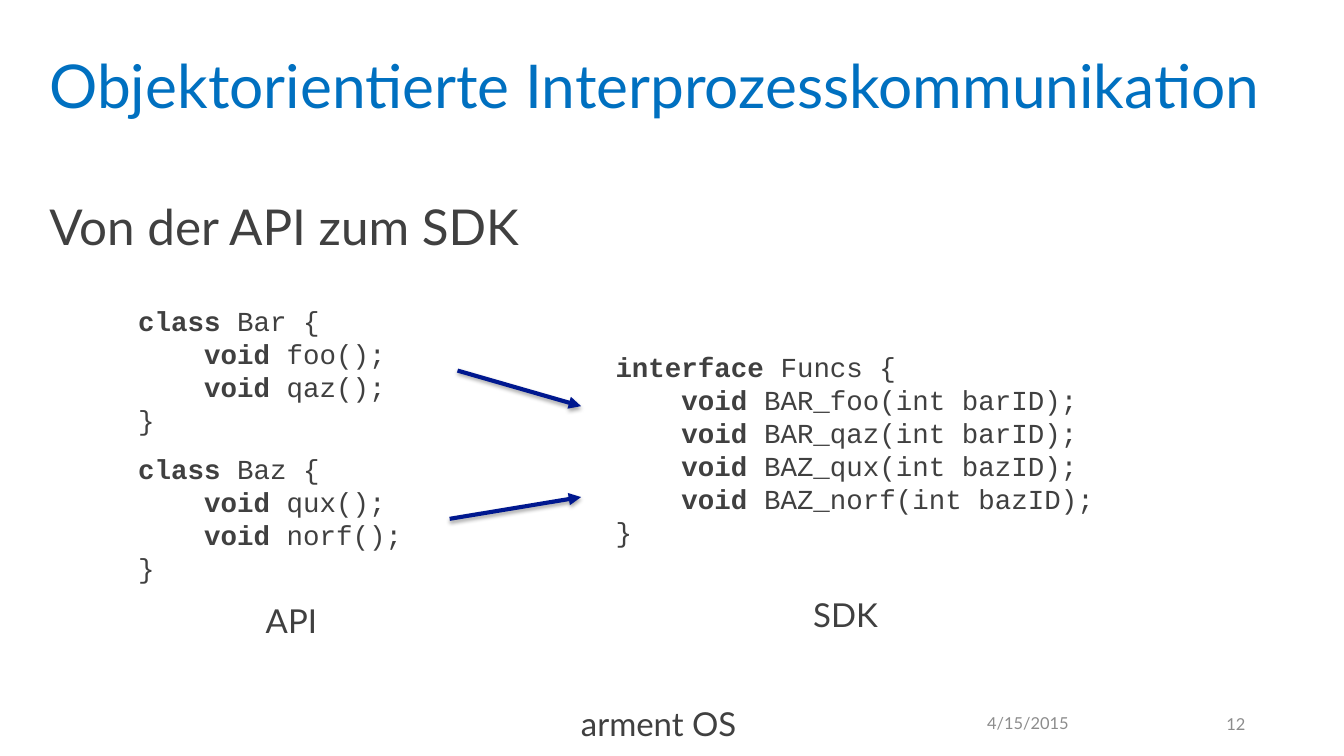
"""Builds the slide that maps two API classes to one SDK interface."""
from dataclasses import dataclass

from lxml.etree import SubElement
from pptx import Presentation
from pptx.dml.color import RGBColor as Color
from pptx.enum.shapes import MSO_CONNECTOR as Connector
from pptx.enum.text import MSO_ANCHOR as Anchor, PP_ALIGN as Align
from pptx.oxml.ns import qn
from pptx.util import Inches, Pt


@dataclass(frozen=True)
class Theme:
    blue: str = "0070C0"
    navy: str = "00188F"
    dark: str = "404040"
    grey: str = "8C8C8C"
    shadow: str = "000000"
    sans: str = "Lato"
    mono: str = "Courier New"
    title: int = 44
    subtitle: int = 36
    label: int = 24
    code: int = 20
    footer: int = 12
    stroke: int = 3


class SlideBuilder:
    """Draws on one slide, on a grid of 136 columns by 76.5 rows."""

    cell = 0.1

    def __init__(self, page, theme):
        self.page = page
        self.theme = theme

    def grid(self, *cells):
        return [Inches(count * self.cell) for count in cells]

    def frame(self, area, insets=(1, 0.5), anchor=Anchor.TOP):
        box = self.page.shapes.add_textbox(*self.grid(*area))
        frame = box.text_frame
        frame.word_wrap = True
        frame.vertical_anchor = anchor
        across, down = self.grid(*insets)
        frame.margin_left = frame.margin_right = across
        frame.margin_top = frame.margin_bottom = down
        return frame

    def style(self, para, size, color, face):
        para.font.size = Pt(size)
        para.font.name = face
        para.font.color.rgb = Color.from_string(color)

    def text(self, words, area, size, color, align=Align.LEFT, **layout):
        para = self.frame(area, **layout).paragraphs[0]
        para.text = words
        para.alignment = align
        self.style(para, size, color, self.theme.sans)

    def heading(self, words, area, size, color):
        self.text(words, area, size, color, insets=(2, 1.6))

    def label(self, words, area):
        self.text(words, area, self.theme.label, self.theme.dark)

    def footer(self, words, area, align=Align.LEFT):
        self.text(words, area, self.theme.footer, self.theme.grey, align, anchor=Anchor.MIDDLE)

    def code(self, lines, area):
        frame = self.frame(area)
        for index, line in enumerate(lines):
            para = frame.add_paragraph() if index else frame.paragraphs[0]
            self.style(para, self.theme.code, self.theme.dark, self.theme.mono)
            words = line.lstrip()
            keyword, gap, rest = words.partition(" ")
            indent = line[:len(line) - len(words)]
            span = para.add_run()
            span.text = indent + keyword + gap
            if rest:
                span.font.bold = True
                para.add_run().text = rest

    def arrow(self, start, end):
        arrow = self.page.shapes.add_connector(Connector.STRAIGHT, *self.grid(*start, *end))
        arrow.line.width = Pt(self.theme.stroke)
        arrow.line.color.rgb = Color.from_string(self.theme.navy)
        SubElement(arrow.line._get_or_add_ln(), qn("a:tailEnd"), type="triangle")
        effects = SubElement(arrow._element.spPr, qn("a:effectLst"))
        shadow = SubElement(effects, qn("a:outerShdw"), blurRad=str(Pt(3.1)),
                            dist=str(Pt(1.8)), dir="5400000", rotWithShape="0")
        color = SubElement(shadow, qn("a:srgbClr"), val=self.theme.shadow)
        SubElement(color, qn("a:alpha"), val="35000")


def block(header, *members):
    return [header + " {", *("    void " + member + ";" for member in members), "}"]


def main():
    theme = Theme()
    deck = Presentation()
    deck.slide_width, deck.slide_height = Inches(13.6), Inches(7.65)
    slide = SlideBuilder(deck.slides.add_slide(deck.slide_layouts[6]), theme)

    slide.label("arment OS", (57.8, 70.7, 22.2, 5))
    slide.heading("Objektorientierte Interprozesskommunikation",
                  (3, 3.3, 130, 10), theme.title, theme.blue)
    slide.heading("Von der API zum SDK", (3, 18.2, 130, 9), theme.subtitle, theme.dark)
    slide.footer("4/15/2015", (98.9, 71.2, 31.1, 4))
    slide.footer("12", (95.9, 71.3, 31.1, 4), Align.RIGHT)

    slide.code(block("class Bar", "foo()", "qaz()"), (13, 30.3, 33.3, 14.5))
    slide.code(block("class Baz", "qux()", "norf()"), (13, 45.3, 35.8, 14.5))
    slide.code(block("interface Funcs", "BAR_foo(int barID)", "BAR_qaz(int barID)",
                     "BAZ_qux(int bazID)", "BAZ_norf(int bazID)"),
               (61.3, 34.9, 62.5, 21.2))

    slide.arrow((46.3, 37.5), (58.8, 41.1))
    slide.arrow((45.5, 52.5), (58.8, 50.3))
    slide.label("API", (25.9, 60.3, 22.5, 5))
    slide.label("SDK", (81.3, 59.7, 22.5, 5))
    deck.save("out.pptx")


if __name__ == "__main__":
    main()
